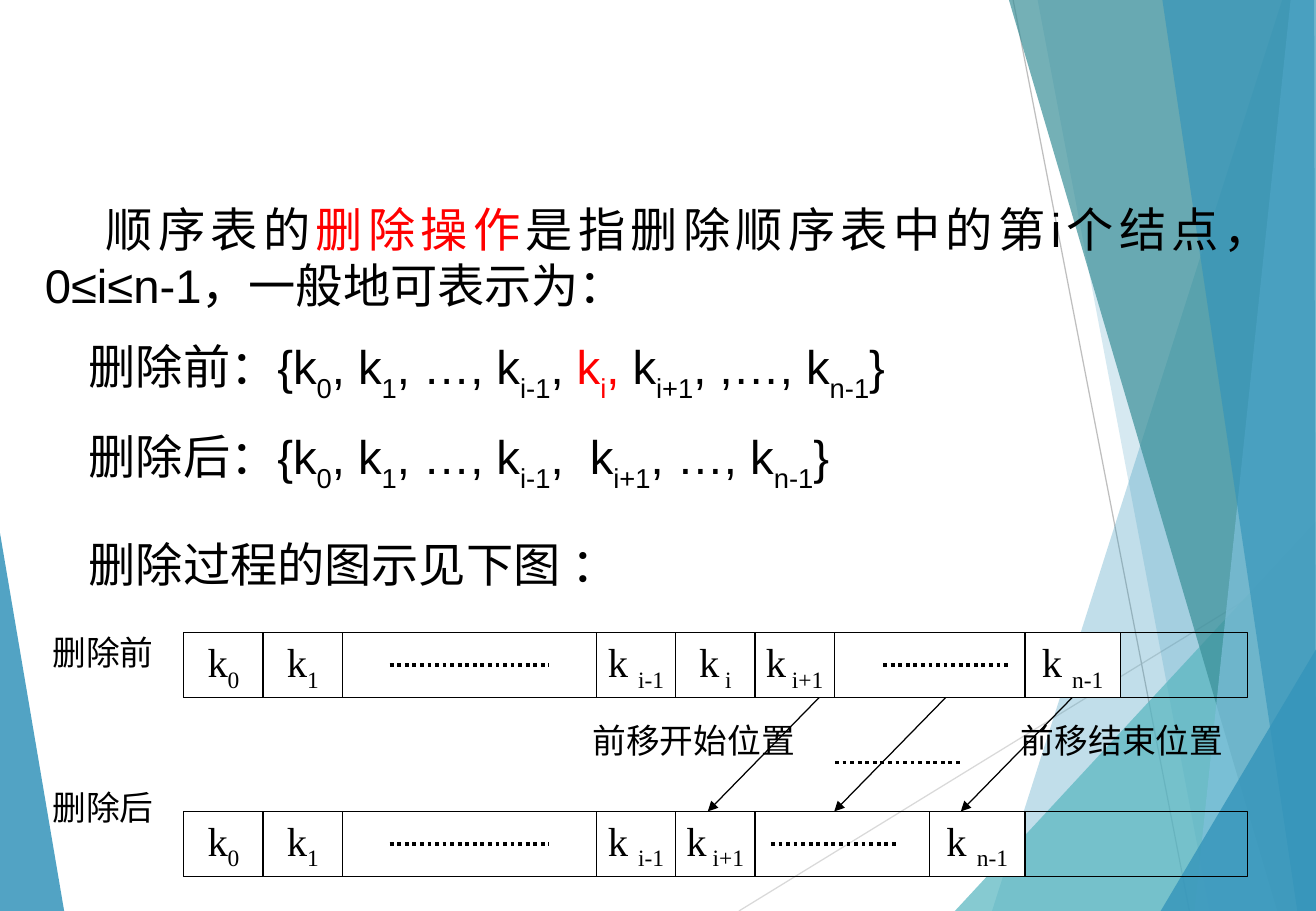
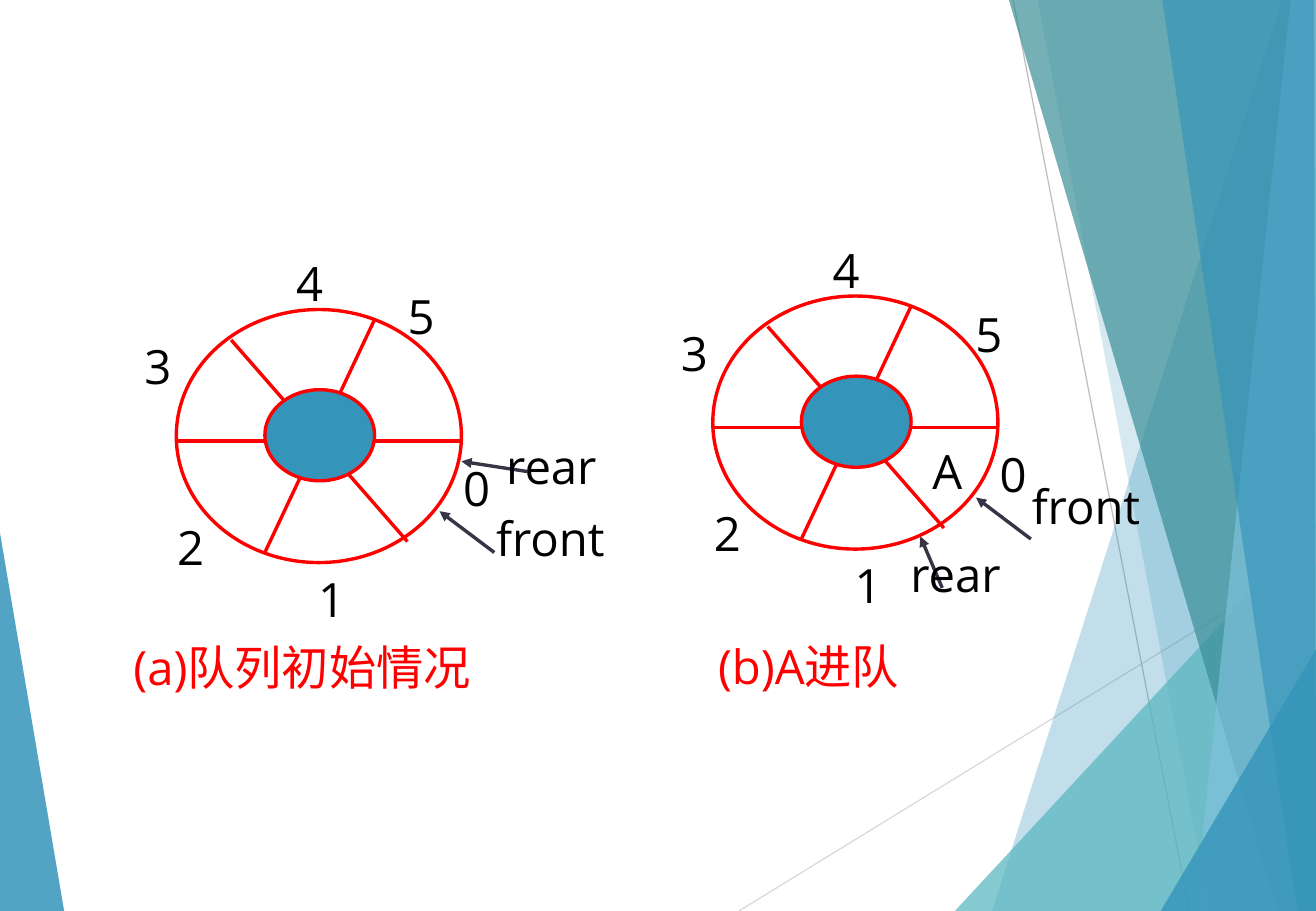
from lxml.etree import SubElement
from pptx import Presentation
from pptx.dml.color import RGBColor
from pptx.enum.dml import MSO_LINE
from pptx.enum.shapes import MSO_CONNECTOR, MSO_SHAPE
from pptx.enum.text import MSO_ANCHOR, PP_ALIGN
from pptx.oxml.ns import qn
from pptx.util import Pt

BLACK = RGBColor(0x00, 0x00, 0x00)
WHITE = RGBColor(0xFF, 0xFF, 0xFF)
RED = RGBColor(0xFF, 0x00, 0x00)
SLATE = RGBColor(0x37, 0x35, 0x45)
BLUE = RGBColor(0x34, 0x94, 0xBA)
TEAL = RGBColor(0x58, 0xB6, 0xC0)
DARK_TEAL = RGBColor(0x3A, 0x8F, 0x98)
SKY = RGBColor(0x7F, 0xC1, 0xDB)
GREY = RGBColor(0xBF, 0xBF, 0xBF)
LIGHT_GREY = RGBColor(0xD9, 0xD9, 0xD9)

BODY = {"size": 28, "font": "Arial", "align": PP_ALIGN.JUSTIFY}
NOTE = {"size": 20, "font": "Times New Roman"}
CELL = {"size": 24, "font": "Times New Roman", "align": PP_ALIGN.CENTER,
        "wrap": False, "drop": 25}
RING = {"size": 28, "font": "Open Sans"}


def write(shape, paragraphs, size, font, align=PP_ALIGN.LEFT, wrap=True, drop=30):
    """Fill a shape with (indent, [(text, colour), ...]) paragraphs.

    Every second piece between bars is a subscript, lowered by drop percent.
    """
    frame = shape.text_frame
    frame.word_wrap = wrap
    for number, (indent, runs) in enumerate(paragraphs):
        paragraph = frame.add_paragraph() if number else frame.paragraphs[0]
        paragraph.alignment = align
        if number:
            paragraph.space_before = Pt(size / 2)
        if indent:
            paragraph._p.get_or_add_pPr().set("indent", str(Pt(indent)))
        for text, color in runs:
            for place, piece in enumerate(text.split("|")):
                if not piece:
                    continue
                run = paragraph.add_run()
                run.text = piece
                run.font.size, run.font.name = Pt(size), font
                run.font.color.rgb = color
                if place % 2:
                    run.font._element.set("baseline", str(-1000 * drop))


def draw_line(slide, start, end, color, width, dash=None, arrow=False):
    line = slide.shapes.add_connector(
        MSO_CONNECTOR.STRAIGHT, *[Pt(v) for v in (*start, *end)])
    line.line.color.rgb = color
    line.line.width = Pt(width)
    if dash:
        line.line.dash_style = dash
    if arrow:
        SubElement(line.line._get_or_add_ln(), qn("a:tailEnd"), type="triangle")
    SubElement(line.element.spPr, qn("a:effectLst"))
    return line


prs = Presentation()
prs.slide_width, prs.slide_height = Pt(780), Pt(540)
blank = prs.slide_layouts[6]
deletion = prs.slides.add_slide(blank)

# Facets shared by every slide, moved to the master
FACETS = [
    (BLUE, 30, [(760, 0), (588, 540), (780, 540), (780, 0)]),
    (BLUE, 20, [(615, 0), (717, 540), (780, 540), (780, 0)]),
    (TEAL, 72, [(566, 540), (780, 309), (780, 540)]),
    (DARK_TEAL, 70, [(598, 0), (757, 540), (780, 540), (780, 0)]),
    (SKY, 70, [(765, 0), (708, 540), (780, 540), (780, 0)]),
    (BLUE, 65, [(689, 0), (769, 540), (780, 540), (779, 0)]),
    (BLUE, 80, [(688, 540), (780, 385), (780, 540)]),
    (BLUE, 85, [(0, 316), (38, 540), (0, 540)]),
]
decor = [
    draw_line(deletion, (438, 540), (780, 330), LIGHT_GREY, 0.75),
    draw_line(deletion, (600.5, 0), (705, 540), GREY, 0.75),
]
for color, opacity, corners in FACETS:
    builder = deletion.shapes.build_freeform(*corners[0], scale=Pt(1))
    builder.add_line_segments(corners[1:])
    facet = builder.convert_to_shape()
    facet.shadow.inherit = False
    facet.fill.solid()
    facet.fill.fore_color.rgb = color
    facet.line.fill.background()
    tint = facet.element.xpath(".//a:solidFill/a:srgbClr")[0]
    SubElement(tint, qn("a:alpha"), val=str(opacity * 1000))
    decor.append(facet)
master_tree = prs.slide_master.element.cSld.spTree
for number, part in enumerate(decor, start=20):
    part.element.xpath(".//p:cNvPr")[0].set("id", str(number))
    master_tree.append(part.element)

# Slide 1: deleting from a sequential list
definition = [
    (36, [("顺序表的", BLACK), ("删除操作", RED),
          ("是指删除顺序表中的第i个结点，0≤i≤n-1，一般地可表示为：", BLACK)]),
    (26, [("删除前：{k|0|, k|1|, …, k|i-1|, ", BLACK), ("k|i|,", RED),
          (" k|i+1|, ,…, k|n-1|}", BLACK)]),
    (26, [("删除后：{k|0|, k|1|, …, k|i-1|,  k|i+1|, …, k|n-1|}", BLACK)]),
]
lead_in = [(26, [("删除过程的图示见下图 ：", BLACK)])]
for top, height, paragraphs in [(115, 176, definition), (314, 41, lead_in)]:
    body = deletion.shapes.add_textbox(Pt(19.5), Pt(top), Pt(741), Pt(height))
    write(body, paragraphs, **BODY)

CELL_W, WIDE_W, ROW_H = 47, 56.5, 38.5
LEFT, MIDDLE, RIGHT = 109, 353.5, 739.5
BEFORE_Y, AFTER_Y = 375, 481
HEAD = [(LEFT, CELL_W, "k|0|"), (LEFT + CELL_W, CELL_W, "k|1|"),
        (MIDDLE, CELL_W, "k |i-1|")]
ROWS = [
    (BEFORE_Y, HEAD + [(MIDDLE + CELL_W, CELL_W, "k| i|"),
                       (MIDDLE + 2 * CELL_W, CELL_W, "k| i+1|"),
                       (607.5, WIDE_W, "k |n-1|")], (523.5, 598)),
    (AFTER_Y, HEAD + [(MIDDLE + CELL_W, CELL_W, "k| i+1|"),
                      (551, WIDE_W, "k |n-1|")], (457, 532.5)),
]
for top, cells, right_dots in ROWS:
    for left, width, text in [(LEFT, RIGHT - LEFT, "")] + cells:
        cell = deletion.shapes.add_shape(
            MSO_SHAPE.RECTANGLE, Pt(left), Pt(top), Pt(width), Pt(ROW_H))
        cell.shadow.inherit = False
        cell.line.color.rgb, cell.line.width = BLACK, Pt(0.75)
        if not text:
            cell.fill.background()
            continue
        cell.fill.solid()
        cell.fill.fore_color.rgb = WHITE
        cell.text_frame.vertical_anchor = MSO_ANCHOR.MIDDLE
        write(cell, [(0, [(text, BLACK)])], **CELL)
    for start, end in [(231, 325.5), right_dots]:
        y = top + ROW_H / 2
        draw_line(deletion, (start, y), (end, y), BLACK, 2.25, MSO_LINE.ROUND_DOT)

for number in range(3):
    x = 485.5 + 75 * number
    draw_line(deletion, (x, BEFORE_Y + ROW_H), (x - 66, AFTER_Y), BLACK, 0.75,
              arrow=True)
draw_line(deletion, (495, 452), (570, 452), BLACK, 2.25, MSO_LINE.ROUND_DOT)

for left, top, width, text in [
    (24, 371, 94, "删除前"), (24, 463, 94, "删除后"),
    (344, 423, 160, "前移开始位置"), (598, 423, 160, "前移结束位置"),
]:
    note = deletion.shapes.add_textbox(Pt(left), Pt(top), Pt(width), Pt(31))
    write(note, [(0, [(text, BLACK)])], **NOTE)

# Slide 2: circular queue; places are relative to each ring's top left corner
queue = prs.slides.add_slide(blank)
SPOKES = [((0, 78), (169, 78)), ((117.5, 6), (52.5, 144)), ((32.5, 18), (137, 137.5))]
FRONT_ARROW = ((188.5, 144), (156, 119.5))
SLOTS = [(64, -36, "4"), (163, 85, "0"), (77, 151, "1"), (-6.5, 120, "2"),
         (-26, 13, "3")]
RINGS = [
    (104.5, 183.5, ((208, 96), (169, 90)), (-32.5, 191.5, "(a)队列初始情况"),
     [(130, -17, "5"), (188.5, 72, "rear"), (182.5, 115, "front")]),
    (422.5, 175.5, ((136, 173), (123, 142.5)), (-4, 199, "(b)A进队"),
     [(148.5, 2, "5"), (110, 144, "rear"), (182, 104, "front"), (123, 83, "A")]),
]
for ring_x, ring_y, rear_arrow, caption, marks in RINGS:
    strokes = [(spoke, RED, False) for spoke in SPOKES]
    strokes += [(arrow, SLATE, True) for arrow in (rear_arrow, FRONT_ARROW)]
    for ((x1, y1), (x2, y2)), color, arrow in strokes:
        draw_line(queue, (ring_x + x1, ring_y + y1), (ring_x + x2, ring_y + y2),
                  color, 2, arrow=arrow)
    for dx, dy, width, height, fill in [(0, 0, 169, 150, None),
                                        (52.5, 47.5, 65, 54, BLUE)]:
        oval = queue.shapes.add_shape(MSO_SHAPE.OVAL, Pt(ring_x + dx),
                                      Pt(ring_y + dy), Pt(width), Pt(height))
        oval.shadow.inherit = False
        oval.line.color.rgb, oval.line.width = RED, Pt(2)
        if fill:
            oval.fill.solid()
            oval.fill.fore_color.rgb = fill
        else:
            oval.fill.background()
    for dx, dy, text in SLOTS + marks + [caption]:
        is_caption = text == caption[2]
        width = 286 if is_caption else 130 if len(text) > 1 else 47
        label = queue.shapes.add_textbox(Pt(ring_x + dx), Pt(ring_y + dy),
                                         Pt(width), Pt(41))
        write(label, [(0, [(text, RED if is_caption else BLACK)])], **RING)

prs.save("out.pptx")
